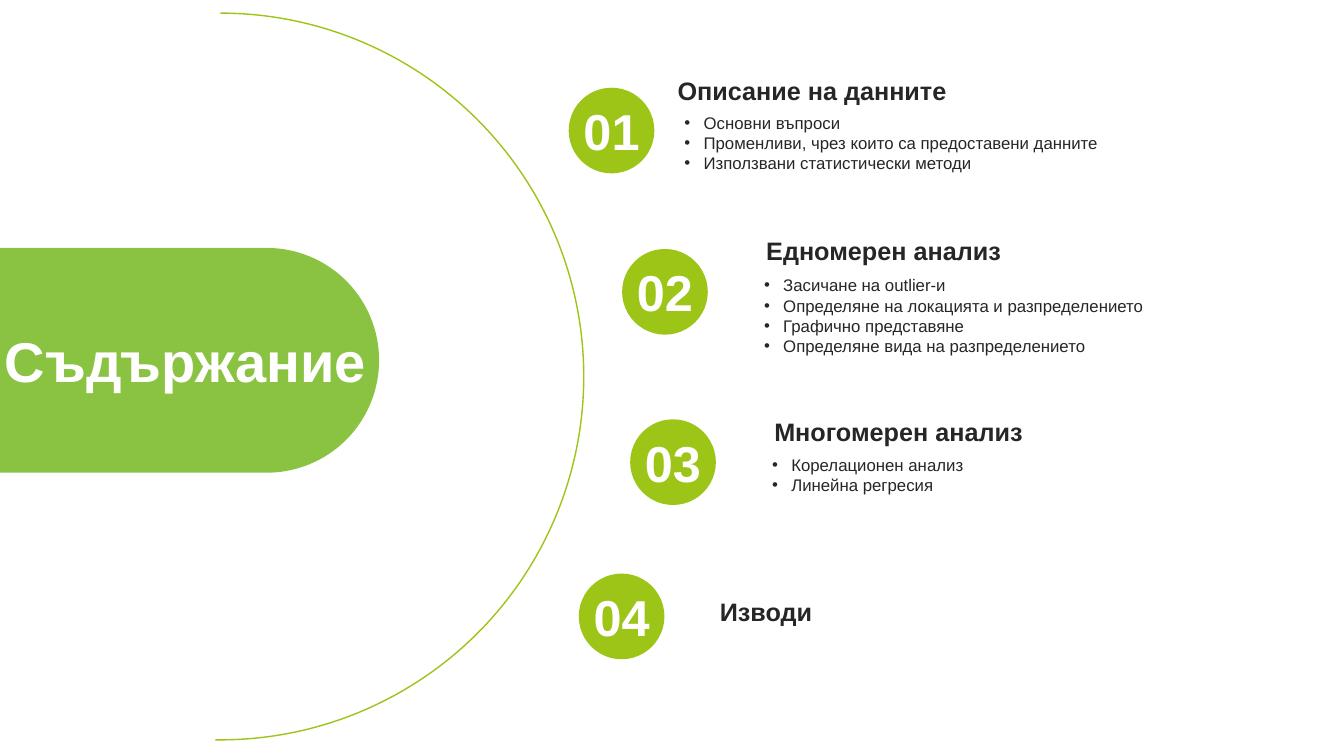
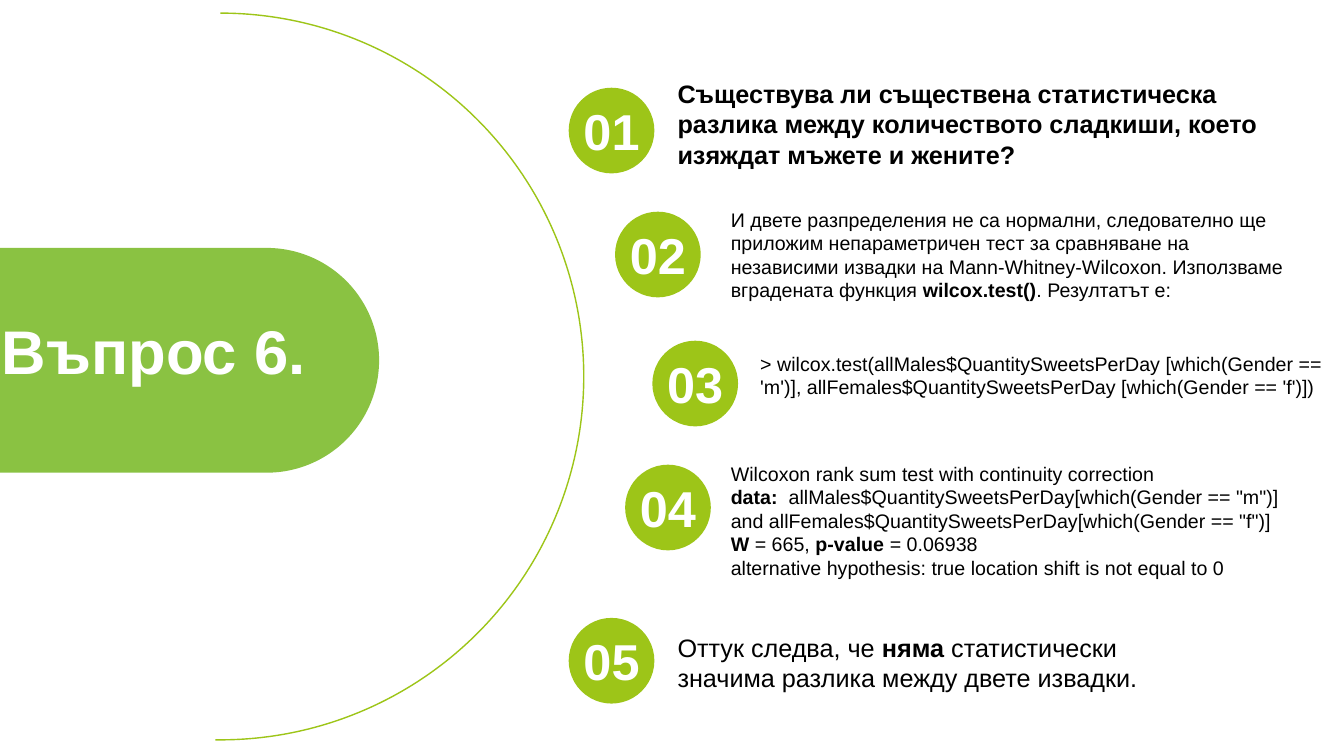
from dataclasses import dataclass

from lxml.etree import SubElement
from pptx import Presentation
from pptx.dml.color import RGBColor
from pptx.enum.shapes import MSO_SHAPE as SHAPE
from pptx.enum.text import MSO_ANCHOR as ANCHOR, PP_ALIGN as ALIGN
from pptx.oxml.ns import qn
from pptx.util import Inches, Pt

FONT = "Arial"
LIME = "9DC518"
GREEN = "79BA27"
WHITE = "FFFFFF"
BLACK = "000000"
DARK = "262626"
BADGE = 0.85
BAND_TOP, BAND_W, BAND_H = 2.46, 3.76, 2.23
ARC = (-1.42, 0.13, 7.21, 7.21)
INDENT = 0.19


@dataclass(frozen=True)
class Title:
    text: str
    box: tuple[float, float, float, float]
    size: int


@dataclass(frozen=True)
class Block:
    box: tuple[float, float, float, float]
    lines: tuple[str, ...]
    size: int = 14
    color: str = BLACK
    bold: bool = False
    bullets: bool = False
    inset: float = 0.12


@dataclass(frozen=True)
class Item:
    badge: tuple[float, float]
    blocks: tuple[Block, ...]


def heading(x: float, y: float, text: str) -> Block:
    return Block((x, y, 4.93, 0.4), (text,), 18, DARK, bold=True)


def bullet_list(x: float, y: float, *lines: str) -> Block:
    return Block((x, y, 4.93, 0.1 + 0.2 * len(lines)), lines, 12, DARK,
                 bullets=True, inset=0.1)


def rgb(color: str) -> RGBColor:
    return RGBColor.from_string(color)


def add_bullet(p) -> None:
    pPr = p._p.get_or_add_pPr()
    pPr.set("marL", str(Inches(INDENT)))
    pPr.set("indent", str(-Inches(INDENT)))
    SubElement(pPr, qn("a:buFont"), typeface=FONT)
    SubElement(pPr, qn("a:buChar"), char="•")


def write(tf, lines: tuple[str, ...], *, size: int, color: str,
          bold: bool = False, bullets: bool = False, inset: float = 0.1,
          margin_y: float = 0.05, align=ALIGN.LEFT, anchor=ANCHOR.TOP,
          wrap: bool = True) -> None:
    tf.word_wrap = wrap
    tf.vertical_anchor = anchor
    tf.margin_left = tf.margin_right = Inches(inset)
    tf.margin_top = tf.margin_bottom = Inches(margin_y)
    for i, line in enumerate(lines):
        p = tf.add_paragraph() if i else tf.paragraphs[0]
        p.alignment = align
        if bullets:
            add_bullet(p)
        for j, part in enumerate(line.split("**")):
            if not part:
                continue
            r = p.add_run()
            r.text = part
            r.font.name = FONT
            r.font.size = Pt(size)
            r.font.bold = bold or j % 2 == 1
            r.font.color.rgb = rgb(color)


def add_filled(s, kind, box: tuple[float, float, float, float], color: str):
    sp = s.shapes.add_shape(kind, *map(Inches, box))
    sp.shadow.inherit = False
    sp.fill.solid()
    sp.fill.fore_color.rgb = rgb(color)
    sp.line.fill.background()
    return sp


def add_arc(s) -> None:
    sp = s.shapes.add_shape(SHAPE.ARC, *map(Inches, ARC))
    sp.shadow.inherit = False
    sp.adjustments[0] = 162
    sp.adjustments[1] = 54.458
    sp.fill.background()
    sp.line.color.rgb = rgb(LIME)
    sp.line.width = Pt(1)


def add_band(s) -> None:
    shift = (BAND_W - BAND_H) / 2
    sp = add_filled(s, SHAPE.ROUND_2_SAME_RECTANGLE,
                    (shift, BAND_TOP - shift, BAND_H, BAND_W), GREEN)
    sp.adjustments[0] = 0.5
    sp.rotation = 90
    clr = sp.fill._xPr.find(qn("a:solidFill"))[0]
    SubElement(clr, qn("a:alpha"), val="87000")


def add_badge(s, number: int, at: tuple[float, float]) -> None:
    sp = add_filled(s, SHAPE.OVAL, (*at, BADGE, BADGE), LIME)
    write(sp.text_frame, (f"{number:02}",), size=36, color=WHITE, bold=True,
          inset=0, margin_y=0, align=ALIGN.CENTER, anchor=ANCHOR.MIDDLE,
          wrap=False)


def add_block(s, block: Block) -> None:
    sp = s.shapes.add_textbox(*map(Inches, block.box))
    write(sp.text_frame, block.lines, size=block.size, color=block.color,
          bold=block.bold, bullets=block.bullets, inset=block.inset)


def add_slide(prs, title: Title, items: tuple[Item, ...]) -> None:
    s = prs.slides.add_slide(prs.slide_layouts[6])
    add_arc(s)
    add_band(s)
    sp = s.shapes.add_textbox(*map(Inches, title.box))
    write(sp.text_frame, (title.text,), size=title.size, color=WHITE,
          bold=True, anchor=ANCHOR.MIDDLE)
    for number, item in enumerate(items, 1):
        add_badge(s, number, item.badge)
        for block in item.blocks:
            add_block(s, block)


CONTENTS = (
    Item((5.64, 0.87), (
        heading(6.6, 0.7, "Описание на данните"),
        bullet_list(6.69, 1.07,
                    "Основни въпроси",
                    "Променливи, чрез които са предоставени данните",
                    "Използвани статистически методи"))),
    Item((6.17, 2.47), (
        heading(7.48, 2.29, "Едномерен анализ"),
        bullet_list(7.48, 2.68,
                    "Засичане на outlier-и",
                    "Определяне на локацията и разпределението",
                    "Графично представяне",
                    "Определяне вида на разпределението"))),
    Item((6.25, 4.16), (
        heading(7.56, 4.08, "Многомерен анализ"),
        bullet_list(7.56, 4.46, "Корелационен анализ", "Линейна регресия"))),
    Item((5.74, 5.69), (heading(7.02, 5.87, "Изводи"),)),
)

QUESTION = (
    Item((5.64, 0.87), (Block(
        (6.6, 0.73, 6.26, 1.01),
        ("Съществува ли съществена статистическа разлика между количеството "
         "сладкиши, което изяждат мъжете и жените?",),
        18, bold=True),)),
    Item((6.1, 2.1), (Block(
        (7.15, 2.01, 5.8, 1.04),
        ("И двете разпределения не са нормални, следователно ще приложим "
         "непараметричен тест за сравняване на независими извадки на "
         "Mann-Whitney-Wilcoxon. Използваме вградената функция "
         "**wilcox.test()**. Резултатът е:",),
        inset=0.1),)),
    Item((6.47, 3.38), (Block(
        (7.42, 3.44, 5.91, 0.81),
        ("> wilcox.test(allMales$QuantitySweetsPerDay [which(Gender == 'm')], "
         "allFemales$QuantitySweetsPerDay [which(Gender == 'f')])",)),)),
    Item((6.2, 4.61), (Block(
        (7.15, 4.53, 5.96, 1.28),
        ("Wilcoxon rank sum test with continuity correction",
         '**data:  **allMales$QuantitySweetsPerDay[which(Gender == "m")] '
         'and allFemales$QuantitySweetsPerDay[which(Gender == "f")]',
         "**W** = 665, **p-value **= 0.06938",
         "alternative hypothesis: true location shift is not equal to 0"),
        inset=0.1),)),
    Item((5.64, 6.13), (Block(
        (6.6, 6.22, 4.93, 0.71),
        ("Оттук следва, че **няма** статистически значима разлика между "
         "двете извадки.",),
        18),)),
)


def main() -> None:
    prs = Presentation()
    prs.slide_width = Inches(13.33)
    prs.slide_height = Inches(7.5)
    add_slide(prs, Title("Съдържание", (-0.05, 3.19, 3.98, 0.77), 40), CONTENTS)
    add_slide(prs, Title("Въпрос 6.", (-0.08, 3.05, 4.92, 0.84), 44), QUESTION)
    prs.save("out.pptx")


if __name__ == "__main__":
    main()
